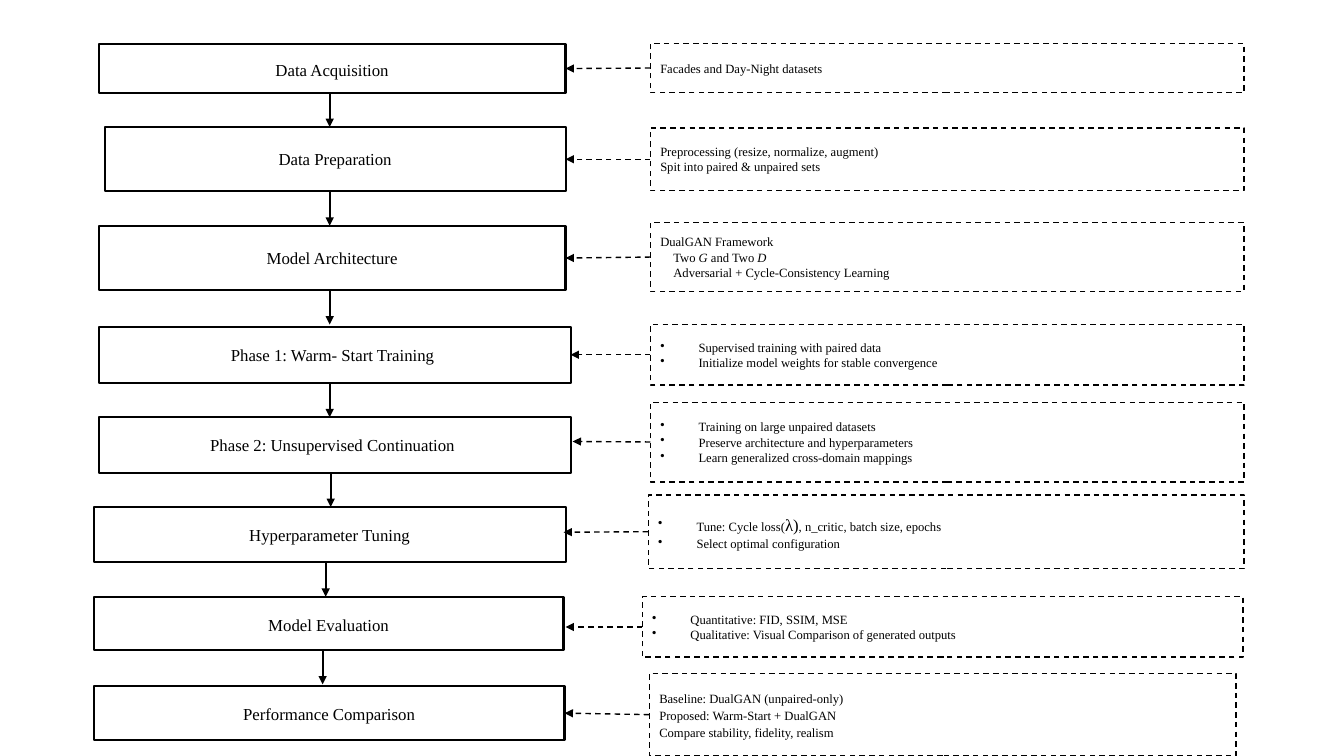
from lxml import etree
from pptx import Presentation
from pptx.dml.color import RGBColor
from pptx.enum import dml, shapes, text
from pptx.oxml import ns
from pptx.util import Inches, Pt

BLACK = RGBColor(0, 0, 0)
WHITE = RGBColor(255, 255, 255)
FONT = "Times New Roman"
DROP = 0.34
PLAIN, SUB, BULLET = (0.12, -0.12), (0.38, -0.25), (0.38, -0.38)

STEPS = [
    ("Data Acquisition", (0.98, 0.44, 4.63, 0.48), 1.1),
    ("Data Preparation", (1.04, 1.26, 4.57, 0.64), 1),
    ("Model Architecture", (0.98, 2.24, 4.63, 0.64), 1),
    ("Phase 1: Warm- Start Training ", (0.98, 3.24, 4.68, 0.56), 1),
    ("Phase 2: Unsupervised Continuation ", (0.98, 4.14, 4.68, 0.55), 1),
    ("Hyperparameter Tuning", (0.93, 5.03, 4.68, 0.55), 1),
    ("Model Evaluation", (0.93, 5.92, 4.66, 0.53), 1.1),
    ("Performance Comparison", (0.93, 6.81, 4.67, 0.53), 1.1),
]

NOTES = [
    ((6.45, 0.43, 5.89, 0.49), 1.1, [(PLAIN, "Facades and Day-Night datasets")]),
    ((6.45, 1.27, 5.89, 0.62), 1, [
        (PLAIN, "Preprocessing (resize, normalize, augment)"),
        (PLAIN, "Spit into paired & unpaired sets")]),
    ((6.45, 2.21, 5.89, 0.68), 1, [
        (PLAIN, "DualGAN Framework"),
        (SUB, "Two ", ("G", {"italic": True}), " and Two ", ("D", {"italic": True})),
        (SUB, "Adversarial + Cycle-Consistency Learning")]),
    ((6.45, 3.22, 5.89, 0.6), 1, [
        (BULLET, "Supervised training with paired data"),
        (BULLET, "Initialize model weights for stable convergence")]),
    ((6.45, 3.99, 5.89, 0.79), 1, [
        (BULLET, "Training on large unpaired datasets"),
        (BULLET, "Preserve architecture and hyperparameters"),
        (BULLET, "Learn generalized cross-domain mappings")]),
    ((6.43, 4.91, 5.91, 0.73), 1.1, [
        (BULLET, "Tune: Cycle loss(", ("λ)", {"size": Pt(12)}),
         ", n_critic, batch size, epochs"),
        (BULLET, "Select optimal configuration")]),
    ((6.37, 5.92, 5.96, 0.6), 1, [
        (BULLET, "Quantitative: FID, SSIM, MSE"),
        (BULLET, "Qualitative: Visual Comparison of generated outputs")]),
    ((6.44, 6.68, 5.82, 0.82), 1.1, [
        (PLAIN, "Baseline: DualGAN (unpaired-only)"),
        (PLAIN, "Proposed: Warm-Start + DualGAN"),
        (PLAIN, "Compare stability, fidelity, realism")]),
]

DOWNS = [3.27, 3.27, 3.27, 3.27, 3.28, 3.23, 3.2]
LOOSE = {4: (5.68, 4.38), 5: (5.59, 5.28), 6: (5.61, 6.22)}


def add_box(slide, at, width, dash=None):
    box = slide.shapes.add_shape(shapes.MSO_SHAPE.RECTANGLE, *map(Inches, at))
    box.shadow.inherit = False
    box.fill.solid()
    box.fill.fore_color.rgb = WHITE
    box.line.color.rgb = BLACK
    box.line.width = Pt(width)
    if dash:
        box.line.dash_style = dash
    box.text_frame.word_wrap = True
    box.text_frame.vertical_anchor = text.MSO_ANCHOR.MIDDLE
    return box


def set_font(para, size):
    para.font.name = FONT
    para.font.size = Pt(size)
    para.font.color.rgb = BLACK


def add_step(slide, label, at, space):
    box = add_box(slide, at, 1.5)
    para = box.text_frame.paragraphs[0]
    para.text = label
    para.alignment = text.PP_ALIGN.CENTER
    para.line_spacing = space
    set_font(para, 12)
    return box


def add_note(slide, at, space, lines):
    box = add_box(slide, at, 1, dml.MSO_LINE.DASH)
    frame = box.text_frame
    for row, (indent, *runs) in enumerate(lines):
        para = frame.add_paragraph() if row else frame.paragraphs[0]
        para.alignment = text.PP_ALIGN.LEFT
        para.line_spacing = space
        props = para._p.get_or_add_pPr()
        props.set("marL", str(Inches(indent[0])))
        props.set("indent", str(Inches(indent[1])))
        if indent == BULLET:
            etree.SubElement(props, ns.qn("a:buChar")).set("char", "•")
        set_font(para, 9)
        for item in runs:
            words, style = (item, {}) if isinstance(item, str) else item
            run = para.add_run()
            run.text = words
            for key, value in style.items():
                setattr(run.font, key, value)
    return box


def add_arrow(slide, start, end, width, dash=None):
    arrow = slide.shapes.add_connector(
        shapes.MSO_CONNECTOR.STRAIGHT, *map(Inches, (*start, *end)))
    arrow.line.color.rgb = BLACK
    arrow.line.width = Pt(width)
    if dash:
        arrow.line.dash_style = dash
    line = arrow.line._get_or_add_ln()
    etree.SubElement(line, ns.qn("a:tailEnd")).set("type", "triangle")
    etree.SubElement(arrow._element.spPr, ns.qn("a:effectLst"))
    return arrow


def link_note(slide, note, step, tip):
    end = tip or (5.61, 1)
    arrow = add_arrow(slide, (6.45, end[1]), end, 1, dml.MSO_LINE.DASH)
    arrow.begin_connect(note, 1)
    if not tip:
        arrow.end_connect(step, 3)


def main():
    deck = Presentation()
    deck.slide_width, deck.slide_height = Inches(13.33), Inches(7.5)
    slide = deck.slides.add_slide(deck.slide_layouts[6])
    steps = [add_step(slide, *step) for step in STEPS]
    notes = [add_note(slide, *note) for note in NOTES]
    for x, (_, at, _) in zip(DOWNS, STEPS):
        base = at[1] + at[3]
        add_arrow(slide, (x, base), (x, base + DROP), 1.5)
    for row, (note, step) in enumerate(zip(notes, steps)):
        link_note(slide, note, step, LOOSE.get(row))
    deck.save("out.pptx")


if __name__ == "__main__":
    main()
